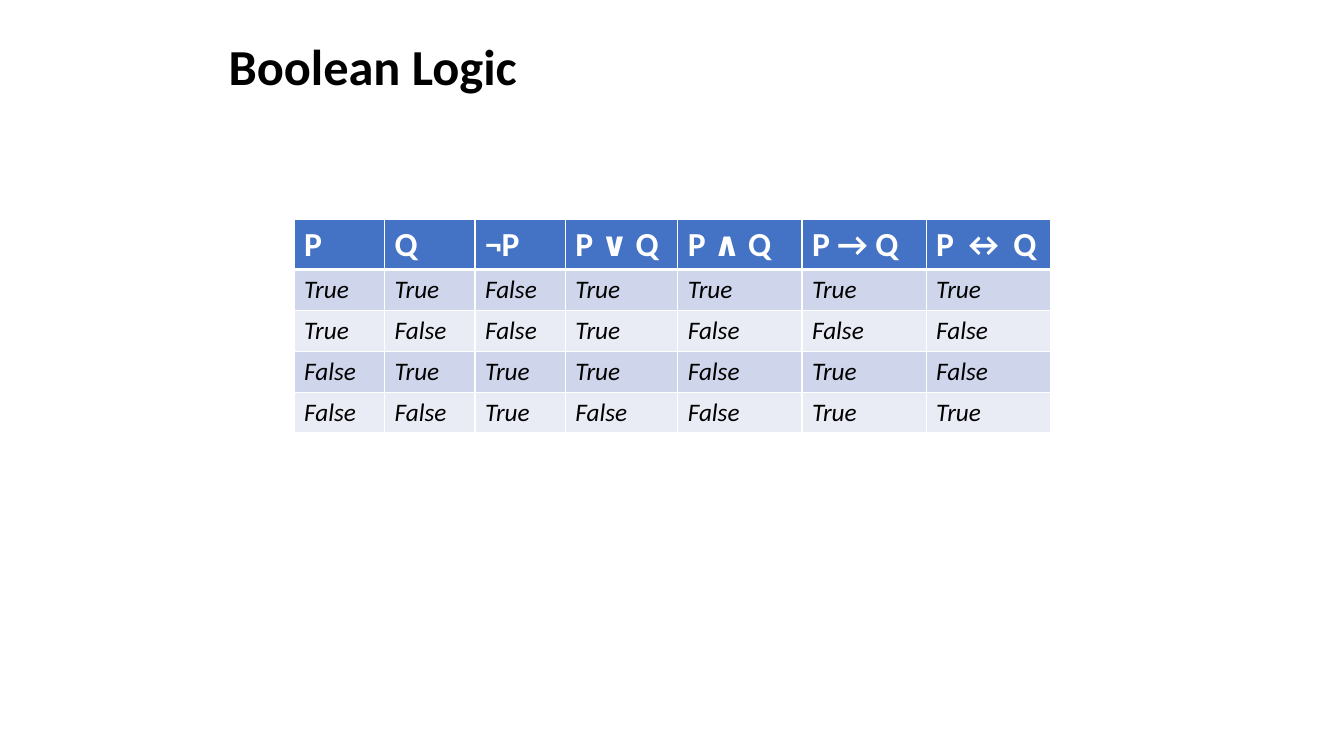
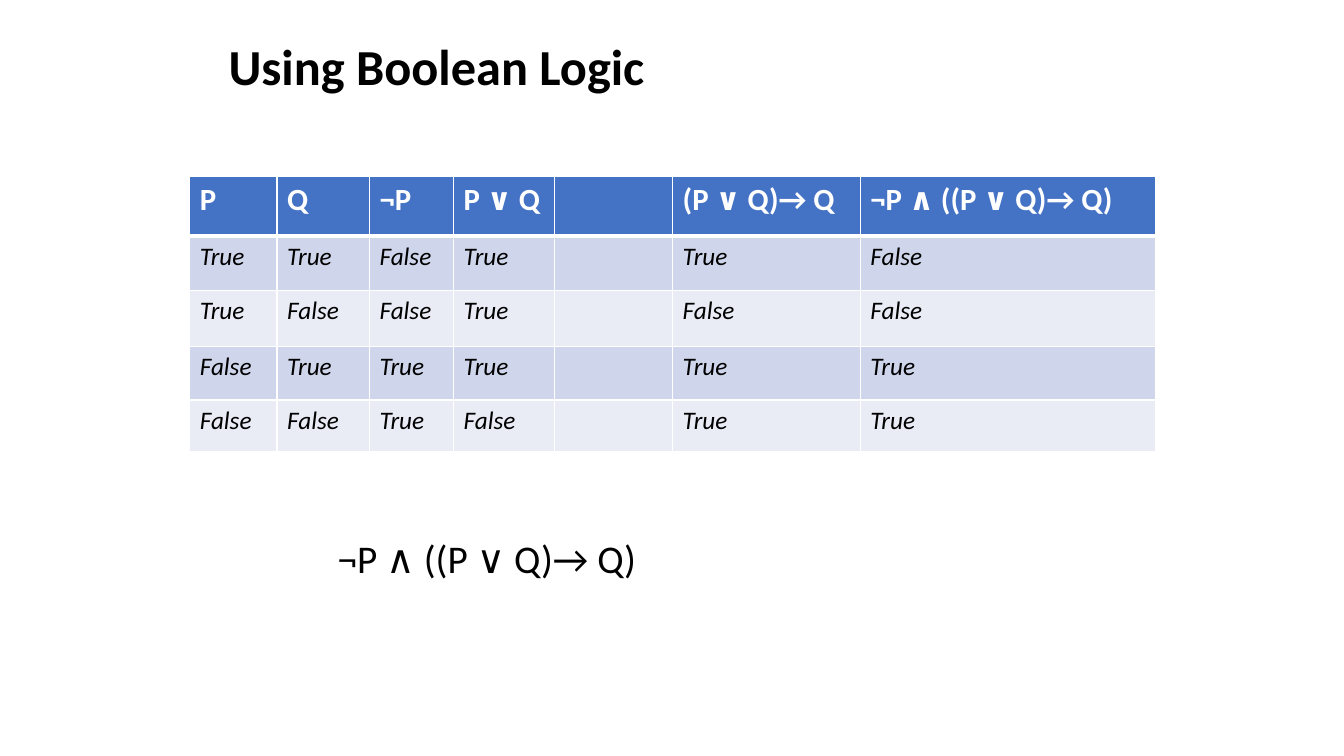
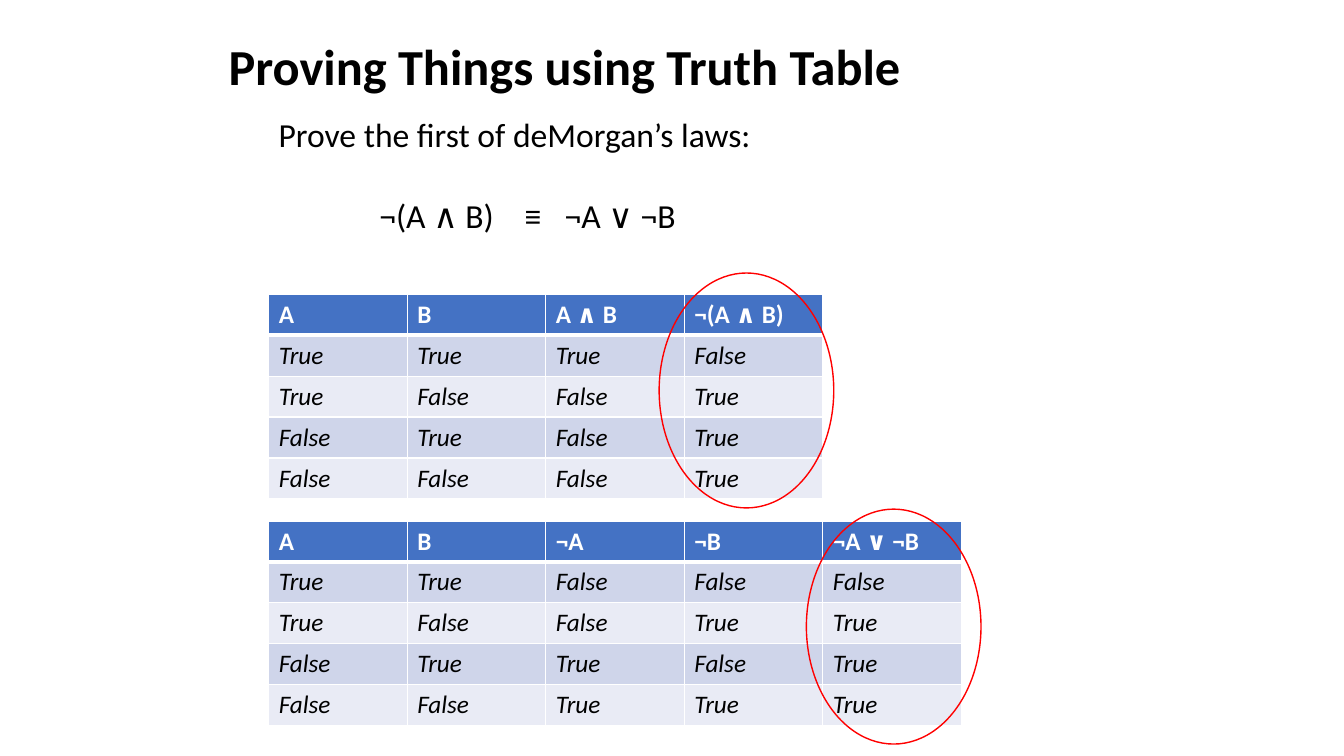
from itertools import product

from lxml import etree
from pptx import Presentation
from pptx import util as u
from pptx.dml.color import RGBColor
from pptx.enum import shapes, text
from pptx.oxml import ns

BLACK, WHITE, RED = "000000", "FFFFFF", "FF0000"
HEADER, BANDS = "4472C4", ("CFD5EA", "E9EBF5")


def color(value):
    return RGBColor.from_string(value)


class Deck:
    """Holds the shared style and the slide being filled."""

    font = "Calibri"

    def __init__(self):
        self.prs = Presentation()
        self.prs.slide_width, self.prs.slide_height = u.Inches(13.333), u.Inches(7.5)
        self.slide = None

    def start(self, title):
        self.slide = self.prs.slides.add_slide(self.prs.slide_layouts[6])
        frame = self.frame(5.51, 0.76, 22.86, 1.96)
        frame.vertical_anchor = text.MSO_ANCHOR.MIDDLE
        heading = frame.paragraphs[0]
        heading.line_spacing = 0.9
        self.run(heading, title, 36, bold=True)

    def frame(self, left, top, width, height):
        box = self.slide.shapes.add_textbox(*map(u.Cm, (left, top, width, height)))
        box.text_frame.word_wrap = True
        return box.text_frame

    def run(self, paragraph, words, size, ink=BLACK, bold=False, italic=False):
        run = paragraph.add_run()
        run.text = words
        font = run.font
        font.name, font.size, font.bold, font.italic = self.font, u.Pt(size), bold, italic
        font.color.rgb = color(ink)

    def tabs(self, paragraph, stops):
        stop_list = etree.SubElement(paragraph._p.get_or_add_pPr(), ns.qn("a:tabLst"))
        for stop in stops:
            etree.SubElement(stop_list, ns.qn("a:tab"), pos=str(u.Cm(stop)), algn="l")

    def borders(self, cell, row):
        for side in "LRTB":
            thick = (row, side) in ((0, "B"), (1, "T"))
            line = etree.SubElement(cell._tc.get_or_add_tcPr(), ns.qn(f"a:ln{side}"),
                                    w=str(u.Pt(3 if thick else 1)))
            fill = etree.SubElement(line, ns.qn("a:solidFill"))
            etree.SubElement(fill, ns.qn("a:srgbClr"), val=WHITE)

    def truth_table(self, left, top, columns, heights, size=18, hanging=False):
        widths = [width for _, width, _ in columns]
        rows = [[label for label, _, _ in columns]]
        for values in product((True, False), repeat=2):
            rows.append([str(rule(*values)) if rule else "" for _, _, rule in columns])
        table = self.slide.shapes.add_table(
            len(rows), len(columns),
            *map(u.Cm, (left, top, sum(widths), sum(heights)))).table
        for column, width in zip(table.columns, widths):
            column.width = u.Cm(width)
        for r, (words, height) in enumerate(zip(rows, heights)):
            table.rows[r].height = u.Cm(height)
            for c, word in enumerate(words):
                cell = table.cell(r, c)
                self.borders(cell, r)
                cell.fill.solid()
                cell.fill.fore_color.rgb = color(BANDS[(r - 1) % 2] if r else HEADER)
                if not word:
                    continue
                paragraph = cell.text_frame.paragraphs[0]
                if hanging:
                    paragraph.alignment = text.PP_ALIGN.JUSTIFY
                    properties = paragraph._p.get_or_add_pPr()
                    properties.set("marL", str(u.Cm(0.95)))
                    properties.set("indent", str(u.Cm(-0.95)))
                if r:
                    self.run(paragraph, word, 18, italic=True)
                else:
                    self.run(paragraph, word, size, WHITE, bold=True)

    def ring(self, left, top):
        ring = self.slide.shapes.add_shape(
            shapes.MSO_SHAPE.OVAL, *map(u.Cm, (left, top, 4.4, 5.92)))
        ring.shadow.inherit = False
        ring.fill.background()
        ring.line.color.rgb = color(RED)
        ring.line.width = u.Pt(1)


def first(p, q):
    return p


def second(p, q):
    return q


def not_first(p, q):
    return not p


def not_second(p, q):
    return not q


def either(p, q):
    return p or q


def both(p, q):
    return p and q


def implies(p, q):
    return not p or q


def same(p, q):
    return p == q


def either_implies(p, q):
    return implies(either(p, q), q)


def combined(p, q):
    return not p and either_implies(p, q)


def not_both(p, q):
    return not both(p, q)


def main():
    deck = Deck()

    deck.start("Boolean Logic")
    deck.truth_table(7.41, 5.52, [
        ("P", 2.28, first), ("Q", 2.28, second), ("¬P", 2.28, not_first),
        ("P ∨ Q", 2.83, either), ("P ∧ Q", 3.13, both),
        ("P → Q", 3.13, implies), ("P ↔ Q", 3.13, same),
    ], [1.26] + [1.03] * 4, size=24, hanging=True)

    deck.start("Using Boolean Logic")
    formula = "¬P ∧ ((P ∨ Q)→ Q)"
    deck.truth_table(4.78, 4.45, [
        ("P", 2.2, first), ("Q", 2.33, second), ("¬P", 2.12, not_first),
        ("P ∨ Q", 2.55, either), ("", 2.97, None),
        ("(P ∨ Q)→ Q", 4.73, either_implies), (formula, 7.44, combined),
    ], [1.5, 1.36, 1.42, 1.35, 1.29], size=22, hanging=True)
    deck.run(deck.frame(8.26, 13.34, 17.58, 1.45).paragraphs[0], formula, 28)

    deck.start("Proving Things using Truth Table")
    cell_width, heights = 3.49, [1.03] * 5
    deck.truth_table(6.77, 7.42, [
        ("A", cell_width, first), ("B", cell_width, second),
        ("A ∧ B", cell_width, both), ("¬(A ∧ B)", cell_width, not_both),
    ], heights)
    deck.truth_table(6.77, 13.13, [
        ("A", cell_width, first), ("B", cell_width, second),
        ("¬A", cell_width, not_first), ("¬B", cell_width, not_second),
        ("¬A ∨ ¬B", cell_width, not_both),
    ], heights)
    statement = deck.frame(6.77, 2.74, 21.8, 3.33)
    deck.run(statement.paragraphs[0], "Prove the first of deMorgan’s laws:", 24)
    law = statement.add_paragraph()
    deck.tabs(law, (2.54, 6.2, 7.21))
    law.space_before = u.Pt(29)
    deck.run(law, "\t¬(A ∧ B)\t≡\t¬A ∨ ¬B", 24)
    deck.ring(16.61, 6.88)
    deck.ring(20.32, 12.83)

    deck.prs.save("out.pptx")


if __name__ == "__main__":
    main()
